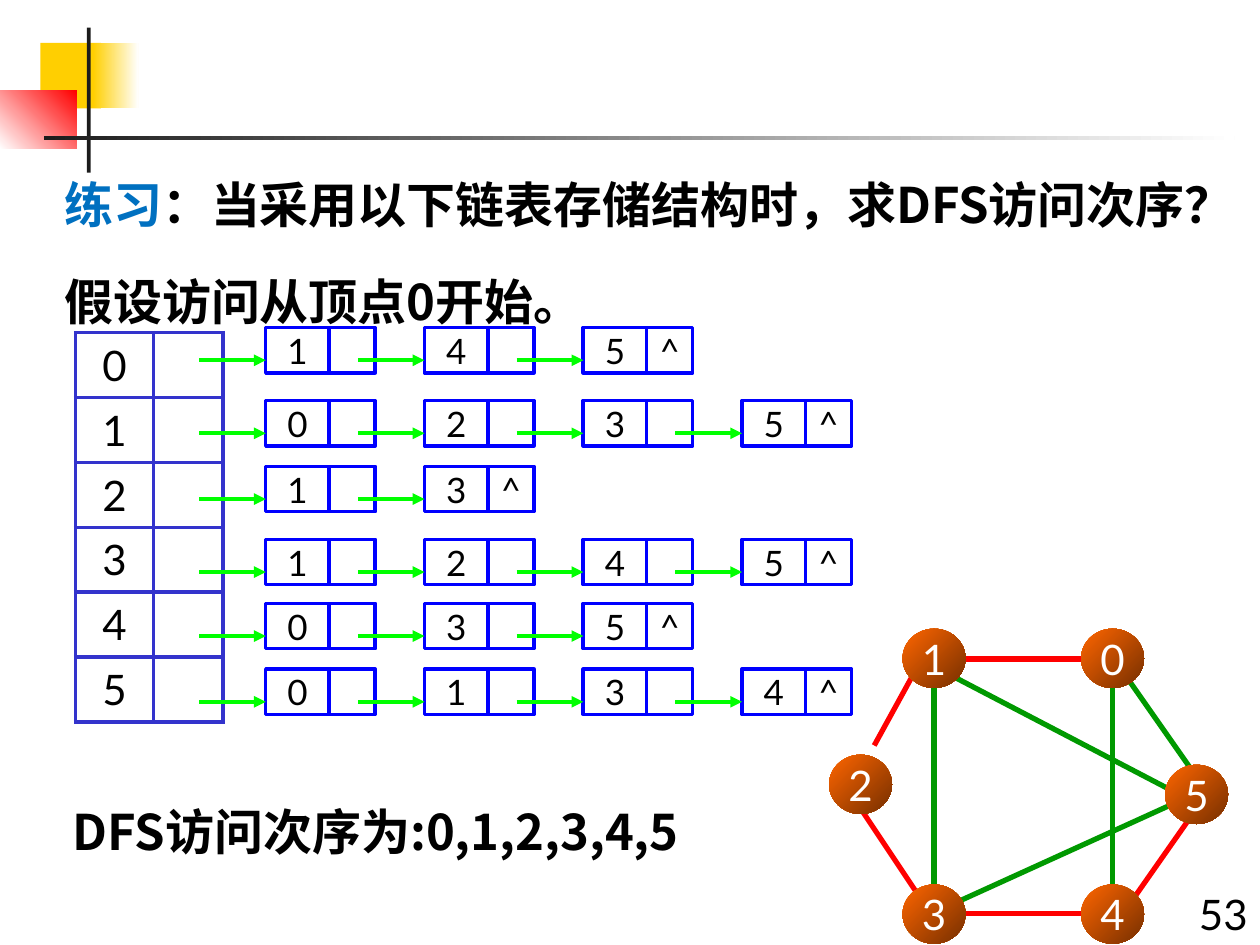
import dataclasses

import pptx
import pptx.dml.color
import pptx.enum.dml
import pptx.enum.shapes
import pptx.enum.text
import pptx.oxml.ns
import pptx.util
from lxml import etree

SHAPES = pptx.enum.shapes.MSO_SHAPE
ALIGN = pptx.enum.text.PP_ALIGN
ANCHOR = pptx.enum.text.MSO_ANCHOR
qn = pptx.oxml.ns.qn


@dataclasses.dataclass(frozen=True)
class Theme:
    """Colours, fonts and sizes of the slide."""
    ink: str = "000000"
    white: str = "FFFFFF"
    bar: str = "1C1C1C"
    yellow: str = "FFCF01"
    red: str = "FF0000"
    accent: str = "0070C0"
    table_border: str = "3333CC"
    cell_border: str = "0000FF"
    arrow: str = "00FF00"
    tree_edge: str = "FF0000"
    other_edge: str = "009900"
    node: tuple = ("FF6600", "762F00", 45)
    latin: str = "Lato"
    chinese: str = "Noto Sans CJK SC"
    heading: int = 28
    number: int = 24
    cell: int = 20


@dataclasses.dataclass(frozen=True)
class Grid:
    """A region with its origin and cell size in inches."""
    left: float
    top: float
    column: float
    row: float

    def place(self, x, y, width, height):
        """Turn columns and rows into slide lengths."""
        inches = (self.left + x * self.column, self.top + y * self.row,
                  width * self.column, height * self.row)
        return [pptx.util.Inches(value) for value in inches]

    def point(self, x, y):
        """Turn a grid point into a slide position."""
        return self.place(x, y, 0, 0)[:2]


THEME = Theme()
PAGE = Grid(0, 0, 0.1, 0.1)
LISTS = Grid(1.58, 2.6, 1.26, 0.36)
GRAPH = Grid(6.58, 5, 1 / 12, 1 / 12)

ADJACENCY = ["145", "0235", "13", "1245", "035", "0134"]
LIST_ROWS = [0, 1.61, 3.06, 4.67, 6.08, 7.53]
NODES = {"1": (7, -0.12), "3": (7, 24.24), "2": (0, 11.88),
         "5": (32, 12.84), "4": (24, 24.24), "0": (24, -0.12)}
TREE_EDGES = [(25, 2.76, 13, 2.76), (9.24, 2, 4.3, 11), (9, 26, 3, 17),
              (26, 27, 11, 27), (35, 17, 28, 27)]
OTHER_EDGES = [(27, 5, 27, 25), (28, 4, 35, 14), (10, 26, 10, 5),
               (34, 16, 11, 4), (34, 16, 12, 26)]


def rgb(value):
    """Return a colour from its hex digits."""
    return pptx.dml.color.RGBColor.from_string(value)


def write(paragraph, text, size=THEME.number, font=THEME.latin,
          color=THEME.ink, bold=False, align=None):
    """Add a formatted run to a paragraph."""
    paragraph.alignment = align
    run = paragraph.add_run()
    run.text = text
    run.font.size = pptx.util.Pt(size)
    run.font.name = font
    run.font.bold = bold
    run.font.color.rgb = rgb(color)
    etree.SubElement(run.font._element, qn("a:ea"), typeface=font)


def add_block(slide, place, kind=SHAPES.RECTANGLE, fill=None, line=None):
    """Add a shape with a plain, gradient or missing fill."""
    shape = slide.shapes.add_shape(kind, *place)
    shape.shadow.inherit = False
    if fill is None:
        shape.fill.background()
    elif isinstance(fill, tuple):
        start, end, angle = fill
        shape.fill.gradient()
        shape.fill.gradient_angle = -angle % 360
        for stop, color in zip(shape.fill.gradient_stops, (start, end)):
            stop.color.rgb = rgb(color)
    else:
        shape.fill.solid()
        shape.fill.fore_color.rgb = rgb(fill)
    if line:
        shape.line.color.rgb = rgb(line)
        shape.line.width = pptx.util.Pt(2)
    else:
        shape.line.fill.background()
    return shape


def label(shape, text, **style):
    """Centre a short label in a shape."""
    frame = shape.text_frame
    frame.word_wrap = False
    frame.vertical_anchor = ANCHOR.MIDDLE
    frame.margin_left = frame.margin_right = 0
    frame.margin_top = frame.margin_bottom = 0
    write(frame.paragraphs[0], text, align=ALIGN.CENTER, **style)


def add_line(slide, start, end, color, width, arrow=False):
    """Draw a straight line, with an arrowhead if asked."""
    connector = slide.shapes.add_connector(
        pptx.enum.shapes.MSO_CONNECTOR.STRAIGHT, *start, *end)
    connector.line.color.rgb = rgb(color)
    connector.line.width = pptx.util.Pt(width)
    if arrow:
        etree.SubElement(connector.line._get_or_add_ln(), qn("a:tailEnd"), type="triangle")
    etree.SubElement(connector._element.spPr, qn("a:effectLst"))


def add_text(slide, place, text, **style):
    """Add a one-paragraph text box."""
    frame = slide.shapes.add_textbox(*place).text_frame
    frame.word_wrap = True
    write(frame.paragraphs[0], text, **style)


def build_decoration(slide, grid):
    """Draw the coloured squares and crossing bars."""
    blocks = [
        ((3.2, 3.4, 4.8, 5.2), THEME.yellow),
        ((7.4, 3.4, 3.6, 5.2), (THEME.yellow, THEME.white, 0)),
        ((0, 7.2, 6.1, 4.6), (THEME.white, THEME.red, 315)),
        ((6.9, 2.2, 0.3, 11.5), THEME.bar),
        ((3.5, 10.8, 94.5, 0.3), (THEME.bar, THEME.white, 0)),
    ]
    for place, fill in blocks:
        add_block(slide, grid.place(*place), fill=fill)


def build_question(slide, place):
    """Fill the body placeholder with the exercise."""
    body = slide.placeholders[1]
    body.left, body.top, body.width, body.height = place
    frame = body.text_frame
    frame.auto_size = pptx.enum.text.MSO_AUTO_SIZE.NONE
    frame.vertical_anchor = ANCHOR.TOP
    frame.margin_top = pptx.util.Inches(0.09)
    frame.margin_right = 0
    lines = [[("练习", THEME.accent), ("：当采用以下链表存储结构时，求DFS访问次序？", THEME.ink)],
             [("假设访问从顶点0开始。", THEME.ink)]]
    for index, runs in enumerate(lines):
        paragraph = frame.add_paragraph() if index else frame.paragraphs[0]
        paragraph.line_spacing = pptx.util.Pt(20)
        paragraph.space_before = pptx.util.Pt(35.4 * index)
        properties = paragraph._p.get_or_add_pPr()
        properties.set("marL", str(pptx.util.Inches(0.38)))
        properties.set("indent", str(-pptx.util.Inches(0.38)))
        etree.SubElement(properties, qn("a:buNone"))
        for text, color in runs:
            write(paragraph, text, size=THEME.heading, font=THEME.chinese,
                  color=color, bold=True)


def border_cell(cell, color, width):
    """Draw all four borders of a cell without a fill."""
    properties = cell._tc.get_or_add_tcPr()
    for side in ("a:lnL", "a:lnR", "a:lnT", "a:lnB"):
        line = etree.SubElement(properties, qn(side), w=str(pptx.util.Pt(width)))
        fill = etree.SubElement(line, qn("a:solidFill"))
        etree.SubElement(fill, qn("a:srgbClr"), val=color)
    cell.fill.background()


def build_vertices(slide, place):
    """Add the vertex table."""
    table = slide.shapes.add_table(len(ADJACENCY), 2, *place).table
    table.first_row = table.horz_banding = False
    for column, width in zip(table.columns, (0.62, 0.55)):
        column.width = pptx.util.Inches(width)
    for index in range(len(ADJACENCY)):
        cell = table.cell(index, 0)
        cell.vertical_anchor = ANCHOR.MIDDLE
        write(cell.text_frame.paragraphs[0], str(index), align=ALIGN.CENTER)
    for cell in table.iter_cells():
        border_cell(cell, THEME.table_border, 2.25)


def build_lists(slide, grid):
    """Draw each vertex's linked list of neighbours."""
    for row, neighbours in zip(LIST_ROWS, ADJACENCY):
        for index, neighbour in enumerate(neighbours):
            value = add_block(slide, grid.place(index + 0.42, row, 0.4, 1),
                              line=THEME.cell_border)
            label(value, neighbour, size=THEME.cell)
            link = add_block(slide, grid.place(index + 0.82, row, 0.29, 1),
                             line=THEME.cell_border)
            if index == len(neighbours) - 1:
                label(link, "^", size=THEME.cell)
        for index in range(len(neighbours)):
            add_line(slide, grid.point(index, row + 0.72),
                     grid.point(index + 0.42, row + 0.72), THEME.arrow, 2.25, arrow=True)


def build_graph(slide, grid):
    """Draw the graph's edges and nodes."""
    for color, edges in ((THEME.tree_edge, TREE_EDGES), (THEME.other_edge, OTHER_EDGES)):
        for edge in edges:
            add_line(slide, grid.point(*edge[:2]), grid.point(*edge[2:]), color, 3)
    for name, position in NODES.items():
        node = add_block(slide, grid.place(*position, 6, 5.64),
                         kind=SHAPES.OVAL, fill=THEME.node)
        label(node, name, color=THEME.white)


def main():
    """Build and save the slide."""
    presentation = pptx.Presentation()
    presentation.slide_width, presentation.slide_height = PAGE.point(100, 75)
    slide = presentation.slides.add_slide(presentation.slide_layouts[1])
    title = slide.shapes.title._element
    title.getparent().remove(title)
    build_decoration(slide, PAGE)
    add_text(slide, PAGE.place(93.3, 70, 6.7, 5), "53", align=ALIGN.RIGHT)
    build_question(slide, PAGE.place(4.1, 14.8, 95.8, 11.6))
    build_graph(slide, GRAPH)
    build_vertices(slide, PAGE.place(6, 26.4, 11.7, 30.9))
    build_lists(slide, LISTS)
    add_text(slide, PAGE.place(4.8, 63.1, 58.6, 5.7), "DFS访问次序为:0,1,2,3,4,5",
             size=THEME.heading, font=THEME.chinese, bold=True)
    presentation.save("out.pptx")


if __name__ == "__main__":
    main()
